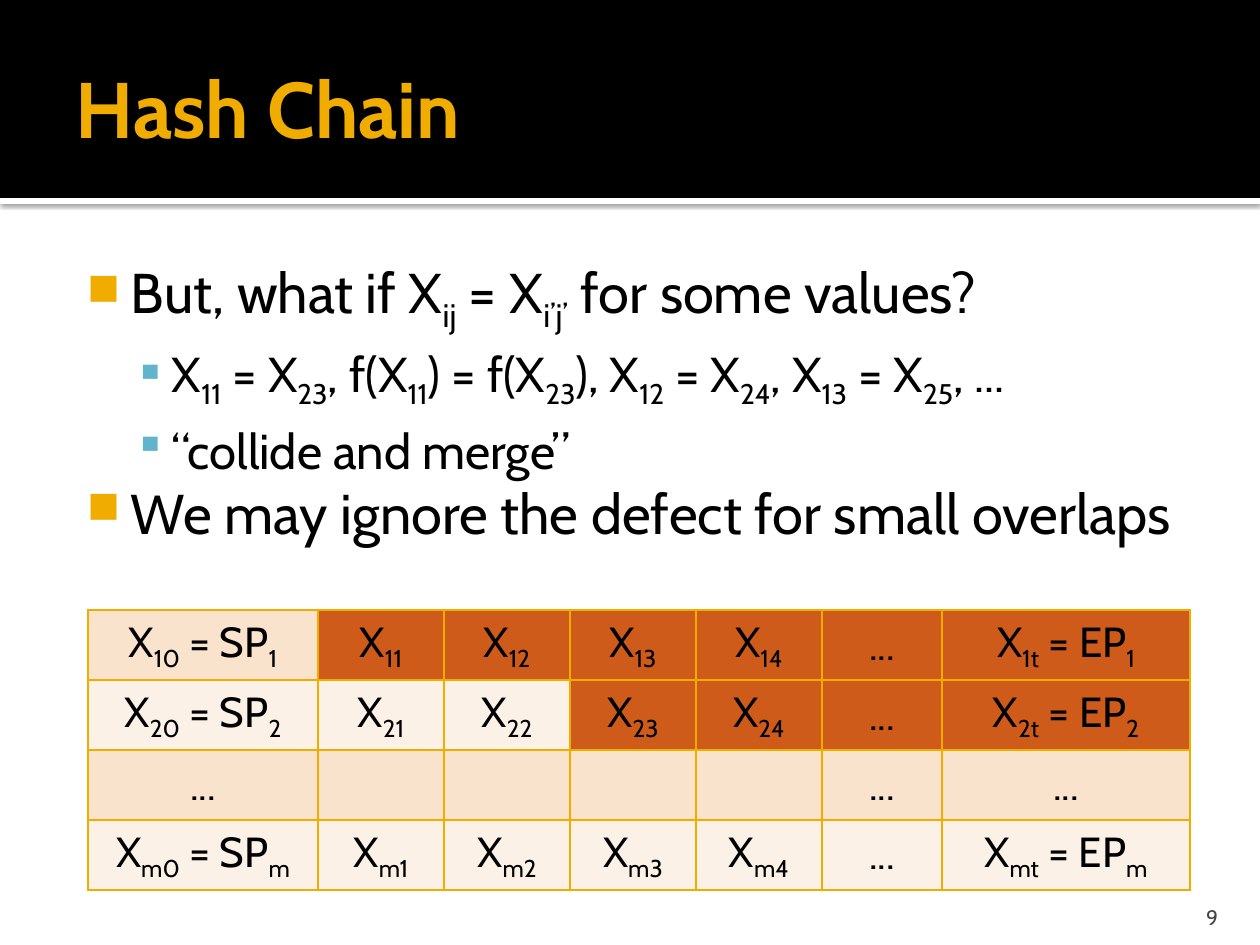
from lxml.etree import SubElement
from pptx import Presentation
from pptx.dml.color import RGBColor
from pptx.enum.shapes import MSO_SHAPE
from pptx.enum.text import MSO_ANCHOR, PP_ALIGN
from pptx.oxml.ns import qn
from pptx.util import Emu, Pt

FONT = "Cabin"
COLORS = {
    "band": "000000", "strip": "FFFFFF", "text": "000000", "gold": "F0AD00",
    "sky": "60B5CC", "number": "454545", "overlap": "CF5B1B",
    "odd": "F9E3CC", "even": "FCF1E7",
}
LEVELS = [
    {"size": 32, "margin": 60, "hang": 44, "before": 0,
     "bullet": "■", "color": "gold", "scale": 80},
    {"size": 28, "margin": 101, "hang": 38, "before": 5.6,
     "bullet": "▪", "color": "sky", "scale": 90},
]
POINTS = [
    (0, "But, what if X|ij| = X|i’j’| for some values?"),
    (1, "X|11| = X|23|, f(X|11|) = f(X|23|), X|12| = X|24|, X|13| = X|25|, ..."),
    (1, "“collide and merge”"),
    (0, "We may ignore the defect for small overlaps"),
]
CHAIN_IDS = ["1", "2", None, "m"]
COLUMN_WIDTHS = [230, 126, 126, 126, 126, 120, 248]
OVERLAP_START = {0: 1, 1: 3}


def px(length):
    return Emu(round(length * 914400 / 126))


def rgb(name):
    return RGBColor.from_string(COLORS[name])


def add_runs(paragraph, marked_text, size, color="text", bold=False):
    for index, part in enumerate(marked_text.split("|")):
        if not part:
            continue
        run = paragraph.add_run()
        run.text = part
        run.font.name = FONT
        run.font.size = Pt(size)
        run.font.bold = bold
        run.font.color.rgb = rgb(color)
        if index % 2:
            run._r.get_or_add_rPr().set("baseline", "-25000")


def add_text_frame(slide, box, insets, anchor):
    frame = slide.shapes.add_textbox(*map(px, box)).text_frame
    frame.word_wrap = True
    frame.vertical_anchor = anchor
    (frame.margin_left, frame.margin_top,
     frame.margin_right, frame.margin_bottom) = map(px, insets)
    return frame


def add_bar(slide, box, color):
    bar = slide.shapes.add_shape(MSO_SHAPE.RECTANGLE, *map(px, box))
    bar.shadow.inherit = False
    bar.fill.solid()
    bar.fill.fore_color.rgb = rgb(color)
    bar.line.fill.background()
    return bar


def add_header(slide, box):
    left, top, width, height = box
    strip = add_bar(slide, (left, top + height, width, 6), "strip")
    effects = strip._element.spPr.find(qn("a:effectLst"))
    shadow = SubElement(effects, qn("a:outerShdw"), blurRad=str(Pt(2.5)),
                        dist=str(Pt(0.8)), dir="5400000", rotWithShape="0")
    shade = SubElement(shadow, qn("a:srgbClr"), val=COLORS["band"])
    SubElement(shade, qn("a:alpha"), val="60000")
    add_bar(slide, box, "band")
    title = add_text_frame(slide, (left + 63, top + 21, width - 126, height - 25),
                           (13, 6, 6, 6), MSO_ANCHOR.MIDDLE)
    add_runs(title.paragraphs[0], "Hash Chain", 45, "gold", True)


def add_bullet(paragraph, level):
    properties = paragraph._p.get_or_add_pPr()
    properties.set("marL", str(px(level["margin"])))
    properties.set("indent", str(px(-level["hang"])))
    color = SubElement(properties, qn("a:buClr"))
    SubElement(color, qn("a:srgbClr"), val=COLORS[level["color"]])
    SubElement(properties, qn("a:buSzPct"), val=str(level["scale"] * 1000))
    SubElement(properties, qn("a:buChar"), char=level["bullet"])


def add_points(slide, box):
    body = add_text_frame(slide, box, (8, 13, 13, 6), MSO_ANCHOR.TOP)
    for index, (depth, marked_text) in enumerate(POINTS):
        paragraph = body.add_paragraph() if index else body.paragraphs[0]
        level = LEVELS[depth]
        paragraph.level = depth
        add_bullet(paragraph, level)
        paragraph.space_before = Pt(level["before"])
        add_runs(paragraph, marked_text, level["size"])


def chain_texts(chain):
    if chain is None:
        return ["...", "", "", "", "", "...", "..."]
    links = [f"X|{chain}{step}" for step in range(1, 5)]
    return [f"X|{chain}0| = SP|{chain}", *links, "...", f"X|{chain}t| = EP|{chain}"]


def style_cell(cell, color):
    properties = cell._tc.get_or_add_tcPr()
    for side in ("lnL", "lnR", "lnT", "lnB"):
        border = SubElement(properties, qn(f"a:{side}"), w=str(Pt(1)))
        fill = SubElement(border, qn("a:solidFill"))
        SubElement(fill, qn("a:srgbClr"), val=COLORS["gold"])
    cell.fill.solid()
    cell.fill.fore_color.rgb = rgb(color)
    cell.vertical_anchor = MSO_ANCHOR.MIDDLE


def add_chain_table(slide, left, top, row_height):
    size = (sum(COLUMN_WIDTHS), row_height * len(CHAIN_IDS))
    chains = slide.shapes.add_table(len(CHAIN_IDS), len(COLUMN_WIDTHS),
                                    *map(px, (left, top, *size))).table
    chains.first_row = chains.horz_banding = False
    for column, width in zip(chains.columns, COLUMN_WIDTHS):
        column.width = px(width)
    for row_index, chain in enumerate(CHAIN_IDS):
        chains.rows[row_index].height = px(row_height)
        overlap_start = OVERLAP_START.get(row_index, len(COLUMN_WIDTHS))
        band = "even" if row_index % 2 else "odd"
        for column_index, marked_text in enumerate(chain_texts(chain)):
            cell = chains.cell(row_index, column_index)
            style_cell(cell, "overlap" if column_index >= overlap_start else band)
            paragraph = cell.text_frame.paragraphs[0]
            paragraph.alignment = PP_ALIGN.CENTER
            add_runs(paragraph, marked_text, 24)


def add_page_number(slide, box):
    number = add_text_frame(slide, box, (13, 6, 13, 0), MSO_ANCHOR.BOTTOM)
    number.paragraphs[0].alignment = PP_ALIGN.RIGHT
    add_runs(number.paragraphs[0], "9", 12, "number")


def main():
    deck = Presentation()
    deck.slide_width, deck.slide_height = px(1260), px(945)
    slide = deck.slides.add_slide(deck.slide_layouts[6])
    add_header(slide, (0, 0, 1260, 198))
    add_points(slide, (63, 244, 1134, 638))
    add_page_number(slide, (1130, 892, 101, 38))
    add_chain_table(slide, 88, 610, 70)
    deck.save("out.pptx")


if __name__ == "__main__":
    main()
